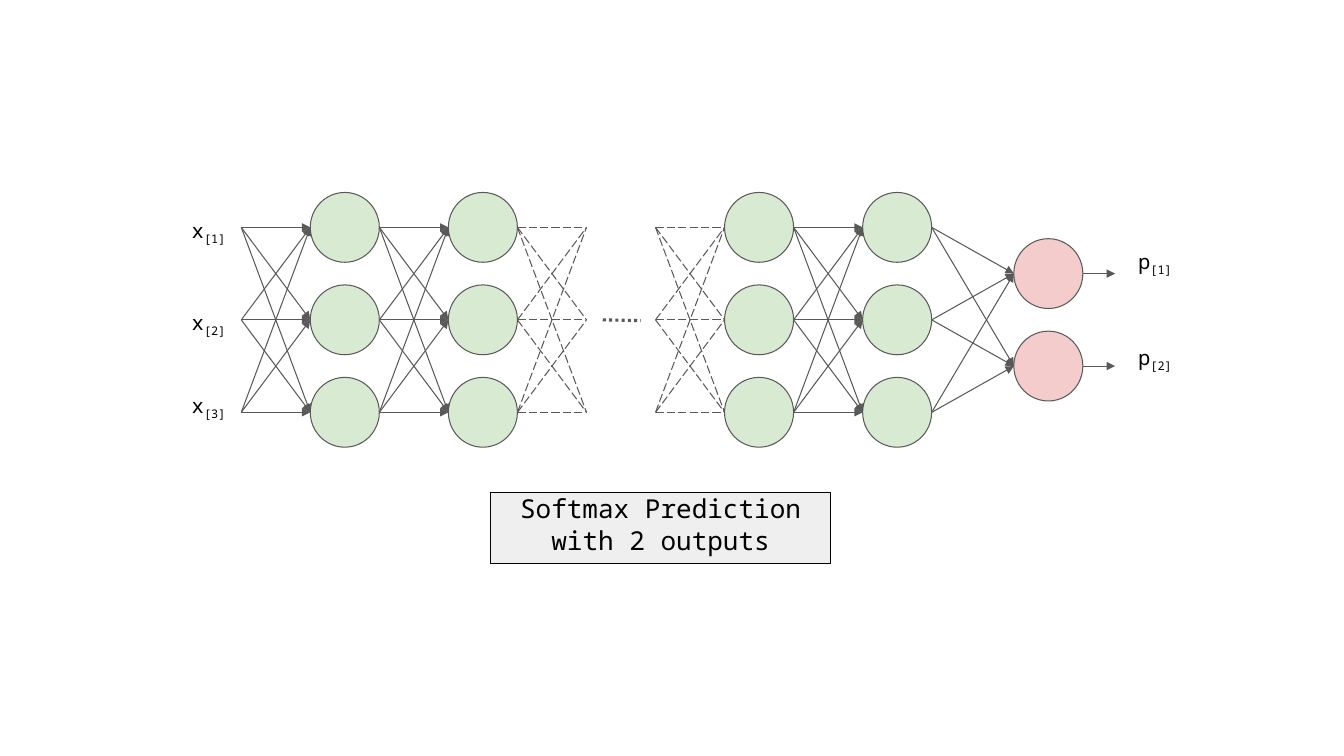
import pptx
import pptx.dml.color
import pptx.enum.dml
import pptx.enum.shapes
import pptx.enum.text
import pptx.util
from lxml import etree
from pptx.oxml.ns import qn
from pptx.util import Cm, Pt

FONT = "Noto Sans Mono"
GREY, BLACK = "595959", "000000"
GREEN, PINK, PALE = "D9EAD3", "F4CCCC", "EFEFEF"
DASH = pptx.enum.dml.MSO_LINE
SHAPE = pptx.enum.shapes.MSO_SHAPE

NODE_W, NODE_H = 1.74, 1.76
HALF_STEP = 1.74
INPUT_X = 6.08
ROW_STEP = 2.33
ROWS = [5.73 + ROW_STEP * i for i in range(3)]
OUTPUT_ROWS = [y + ROW_STEP / 2 for y in ROWS[:2]]
OUTPUT_X = 25.55
HIDDEN_X = [INPUT_X + HALF_STEP * i for i in (1, 3, 7, 9)]


def rgb(color):
    return pptx.dml.color.RGBColor.from_string(color)


def add_filled(shapes, kind, x, y, w, h, fill, line):
    sp = shapes.add_shape(kind, Cm(x), Cm(y), Cm(w), Cm(h))
    sp.shadow.inherit = False
    sp.fill.solid()
    sp.fill.fore_color.rgb = rgb(fill)
    sp.line.color.rgb = rgb(line)
    sp.line.width = Pt(0.75)
    return sp


def add_nodes(shapes, x, rows, fill):
    for y in rows:
        add_filled(shapes, SHAPE.OVAL, x, y - NODE_H / 2, NODE_W, NODE_H, fill, GREY)


def add_line(shapes, x1, y1, x2, y2, dash=None, width=0.75, arrow=False):
    cxn = shapes.add_connector(pptx.enum.shapes.MSO_CONNECTOR.STRAIGHT,
                               Cm(x1), Cm(y1), Cm(x2), Cm(y2))
    cxn.line.color.rgb = rgb(GREY)
    cxn.line.width = Pt(width)
    if dash:
        cxn.line.dash_style = dash
    if arrow:
        etree.SubElement(cxn.line._get_or_add_ln(), qn("a:tailEnd"), type="triangle")
    etree.SubElement(cxn._element.spPr, qn("a:effectLst"))


def link_layers(shapes, x1, rows1, x2, rows2, dashed=False):
    """Join every point of one layer to every point of the next."""
    for y1 in rows1:
        for y2 in rows2:
            add_line(shapes, x1, y1, x2, y2,
                     dash=DASH.LONG_DASH if dashed else None, arrow=not dashed)


def format_text(sp, size):
    tf = sp.text_frame
    tf.word_wrap = True
    tf.margin_left = tf.margin_right = Cm(0.33)
    tf.margin_top = tf.margin_bottom = 0
    tf.vertical_anchor = pptx.enum.text.MSO_ANCHOR.TOP
    p = tf.paragraphs[0]
    p.font.name = FONT
    p.font.size = Pt(size)
    p.font.color.rgb = rgb(BLACK)
    return p


def add_label(shapes, x, y, letter, index):
    """Add a letter with its bracketed index as a subscript."""
    p = format_text(shapes.add_textbox(Cm(x), Cm(y), Cm(1.74), Cm(1.07)), 14.7)
    p.add_run().text = letter
    r = p.add_run()
    r.text = f"[{index}]"
    r._r.get_or_add_rPr().set("baseline", "-25000")


def add_labels(shapes, x, tops, letter):
    for index, y in enumerate(tops, 1):
        add_label(shapes, x, y, letter, index)


def add_network(shapes):
    for x in HIDDEN_X:
        add_nodes(shapes, x, ROWS, GREEN)
    add_nodes(shapes, OUTPUT_X, OUTPUT_ROWS, PINK)

    for step, dashed in ((0, False), (2, False), (4, True), (6, True), (8, False)):
        x = INPUT_X + HALF_STEP * step
        link_layers(shapes, x, ROWS, x + HALF_STEP, ROWS, dashed)
    link_layers(shapes, HIDDEN_X[-1] + NODE_W, ROWS, OUTPUT_X, OUTPUT_ROWS)
    for y in OUTPUT_ROWS:
        add_line(shapes, OUTPUT_X + NODE_W, y, 28.1, y, arrow=True)

    add_labels(shapes, 4.5, (5.49, 7.8, 9.91), "x")
    add_labels(shapes, 28.35, (6.27, 8.69), "p")


def add_caption(shapes):
    sp = add_filled(shapes, SHAPE.RECTANGLE, 12.37, 12.42, 8.56, 1.78, PALE, BLACK)
    p = format_text(sp, 18.6)
    p.alignment = pptx.enum.text.PP_ALIGN.CENTER
    p.add_run().text = "Softmax Prediction with 2 outputs"


def main():
    prs = pptx.Presentation()
    prs.slide_width, prs.slide_height = Cm(33.87), Cm(19.05)
    s = prs.slides.add_slide(prs.slide_layouts[6])
    add_network(s.shapes.add_group_shape().shapes)
    add_caption(s.shapes)
    add_line(s.shapes, 15.19, ROWS[1], 16.15, ROWS[1] + 0.02,
             dash=DASH.ROUND_DOT, width=2.25)
    prs.save("out.pptx")


if __name__ == "__main__":
    main()
